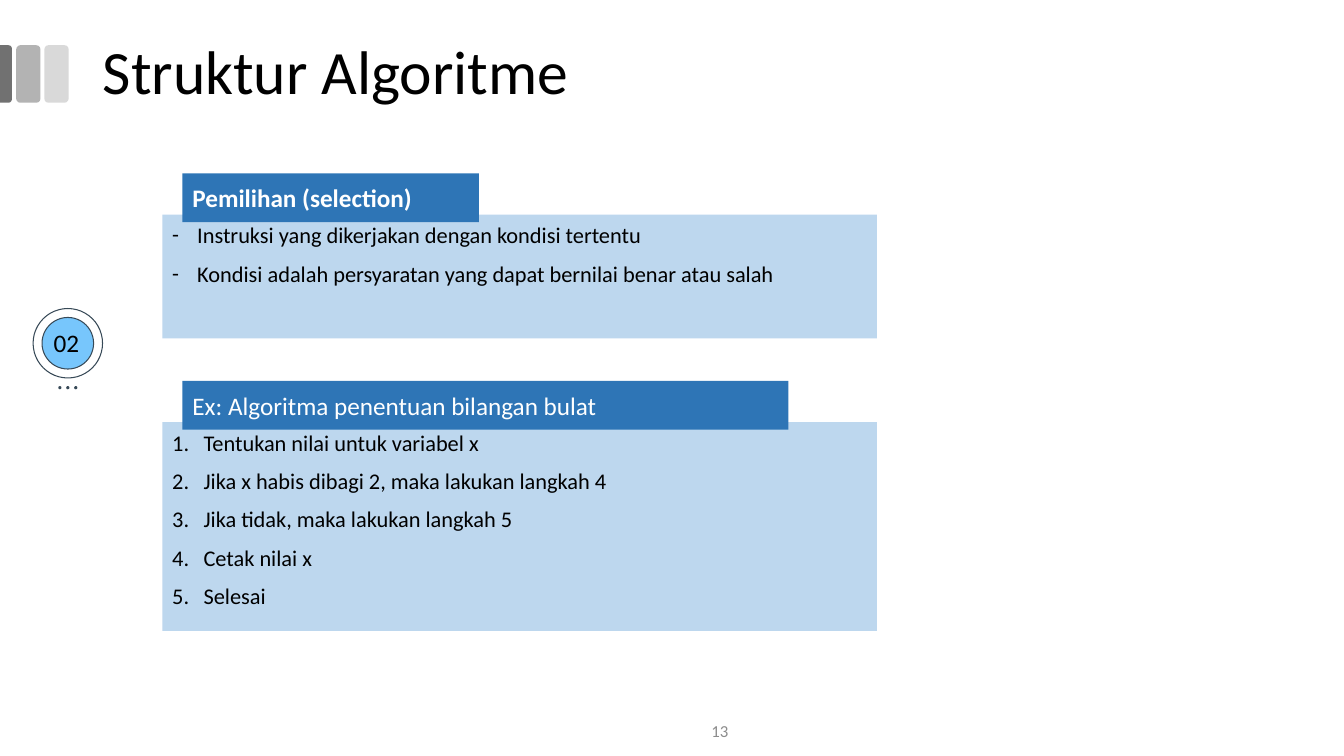
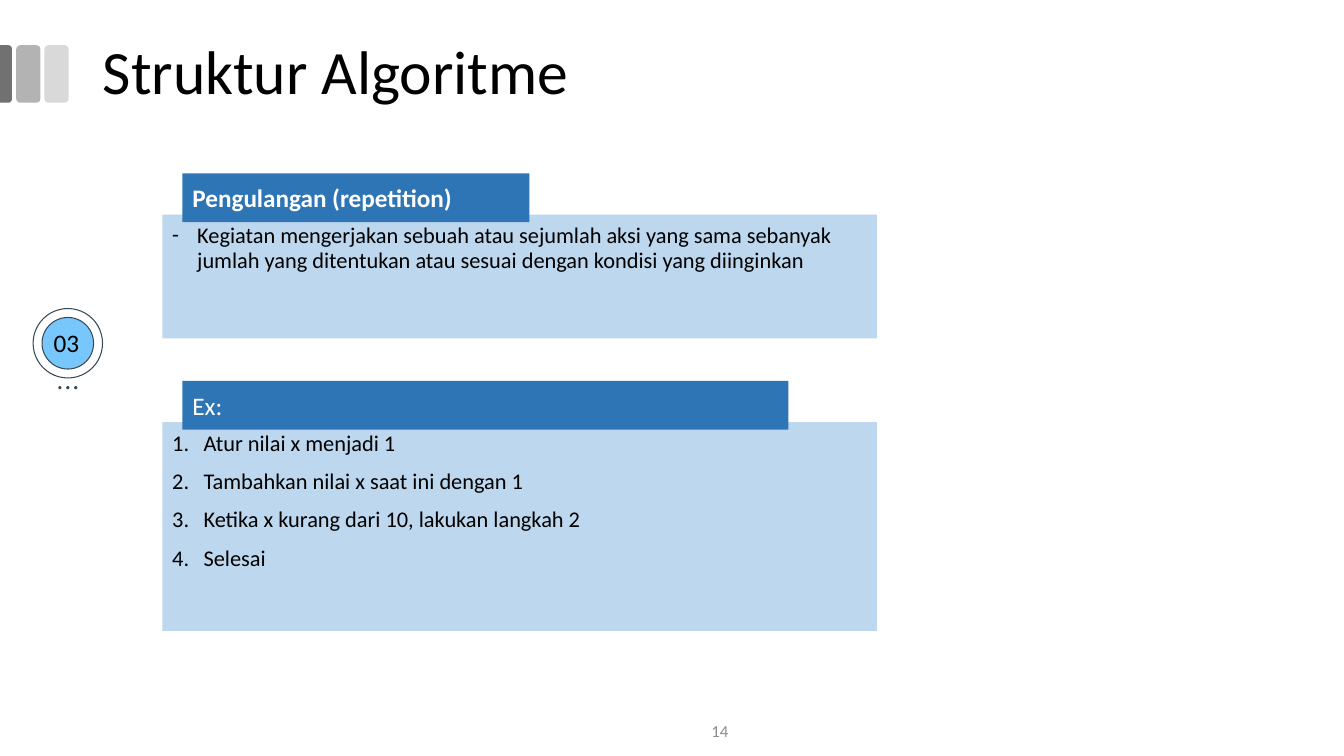
"""Build two slides on algorithm structure: selection and repetition."""
import lxml.etree
import pptx
import pptx.dml.color
import pptx.enum.shapes
import pptx.enum.text
import pptx.oxml.ns
import pptx.util

Cm = pptx.util.Cm
Pt = pptx.util.Pt
SHAPE = pptx.enum.shapes.MSO_SHAPE
ANCHOR = pptx.enum.text.MSO_ANCHOR
ALIGN = pptx.enum.text.PP_ALIGN

FONT = "Calibri"
COLORS = {
    "text": "000000",
    "white": "FFFFFF",
    "tab": "2E75B6",
    "panel": "BDD7EE",
    "badge": "77C6FC",
    "outline": "374957",
    "number": "8C8C8C",
    "bar_light": "D9D9D9",
    "bar_mid": "B3B3B3",
    "bar_dark": "717171",
}
TITLE = "Struktur Algoritme"
PANEL_LEFT, PANEL_WIDTH = 4.09, 18.01
TAB_LEFT, TAB_HEIGHT, TAB_RISE = 4.6, 1.23, 1.04
DASH = ("buChar", {"char": "-"})
NUMBERS = ("buAutoNum", {"type": "arabicPeriod"})

SLIDES = [
    {
        "badge": "02",
        "number": "13",
        "heading": "Pemilihan (selection)",
        "heading_width": 7.47,
        "points": [
            "Instruksi yang dikerjakan dengan kondisi tertentu",
            "Kondisi adalah persyaratan yang dapat bernilai benar atau salah",
        ],
        "example": "Ex: Algoritma penentuan bilangan bulat",
        "steps": [
            "Tentukan nilai untuk variabel x",
            "Jika x habis dibagi 2, maka lakukan langkah 4",
            "Jika tidak, maka lakukan langkah 5",
            "Cetak nilai x",
            "Selesai",
        ],
    },
    {
        "badge": "03",
        "number": "14",
        "heading": "Pengulangan (repetition)",
        "heading_width": 8.74,
        "points": [
            "Kegiatan mengerjakan sebuah atau sejumlah aksi yang sama sebanyak "
            "jumlah yang ditentukan atau sesuai dengan kondisi yang diinginkan",
        ],
        "example": "Ex:",
        "steps": [
            "Atur nilai x menjadi 1",
            "Tambahkan nilai x saat ini dengan 1",
            "Ketika x kurang dari 10, lakukan langkah 2",
            "Selesai",
        ],
    },
]


def rgb(name):
    """Return the named colour as an RGBColor."""
    return pptx.dml.color.RGBColor.from_string(COLORS[name])


def place(sp, left, top, width, height):
    """Move and size a shape, in centimetres."""
    sp.left, sp.top, sp.width, sp.height = map(Cm, (left, top, width, height))


def add_bullet(p, bullet, indent):
    """Give a paragraph a hanging bullet or number."""
    pPr = p._p.get_or_add_pPr()
    pPr.set("marL", str(Cm(indent)))
    pPr.set("indent", str(-Cm(indent)))
    color = lxml.etree.SubElement(pPr, pptx.oxml.ns.qn("a:buClr"))
    lxml.etree.SubElement(color, pptx.oxml.ns.qn("a:srgbClr"), val=COLORS["text"])
    lxml.etree.SubElement(pPr, pptx.oxml.ns.qn("a:buFont"), typeface=FONT)
    tag, attributes = bullet
    lxml.etree.SubElement(pPr, pptx.oxml.ns.qn(f"a:{tag}"), attributes)


def write(sp, *lines, size=18, color="text", bold=False, align=ALIGN.LEFT,
          anchor=ANCHOR.MIDDLE, inset=(0.25, 0.13), spacing=1.0, before=0,
          bullet=None, indent=0):
    """Write formatted paragraphs into a shape."""
    tf = sp.text_frame
    tf.word_wrap = True
    tf.auto_size = pptx.enum.text.MSO_AUTO_SIZE.NONE
    tf.vertical_anchor = anchor
    tf.margin_left = tf.margin_right = Cm(inset[0])
    tf.margin_top = tf.margin_bottom = Cm(inset[1])
    for i, line in enumerate(lines):
        p = tf.add_paragraph() if i else tf.paragraphs[0]
        if bullet:
            add_bullet(p, bullet, indent)
        p.alignment = align
        p.line_spacing = spacing
        p.space_before = Pt(before if i else 0)
        r = p.add_run()
        r.text = line
        r.font.name = FONT
        r.font.size = Pt(size)
        r.font.bold = bold
        r.font.color.rgb = rgb(color)


def add_shape(s, kind, left, top, width, height, fill, line=None):
    """Add a flat filled shape with an optional outline."""
    sp = s.shapes.add_shape(kind, *map(Cm, (left, top, width, height)))
    sp.shadow.inherit = False
    sp.fill.solid()
    sp.fill.fore_color.rgb = rgb(fill)
    if line:
        sp.line.color.rgb = rgb(line)
        sp.line.width = Pt(0.75)
    else:
        sp.line.fill.background()
    return sp


def add_circle(s, x, y, diameter, fill, line=None):
    """Add a circle around a centre point."""
    r = diameter / 2
    return add_shape(s, SHAPE.OVAL, x - r, y - r, diameter, diameter, fill, line)


def add_text(s, text, left, top, width, height, **style):
    """Add a text box with one formatted line."""
    sp = s.shapes.add_textbox(*map(Cm, (left, top, width, height)))
    write(sp, text, **style)


def add_bars(s):
    """Add the three grey bars beside the title."""
    top, width, height = 1.14, 0.61, 1.45
    for left, color in ((1.12, "bar_light"), (0.41, "bar_mid")):
        sp = add_shape(s, SHAPE.ROUNDED_RECTANGLE, left, top, width, height, color)
        sp.adjustments[0] = 0.17
    edge = 0.3
    sp = add_shape(s, SHAPE.ROUND_2_SAME_RECTANGLE, (edge - height) / 2,
                   top + (height - edge) / 2, height, edge, "bar_dark")
    sp.rotation = 90
    sp.adjustments[0] = 0.29


def add_badge(s, text):
    """Add the numbered double circle with three dots below."""
    x, y = 1.71, 8.65
    add_circle(s, x, y, 1.75, "white", "outline")
    add_circle(s, x, y, 1.3, "badge", "outline")
    for step in (-1, 0, 1):
        add_circle(s, x + step * 0.2, 9.77, 0.08, "outline")
    add_text(s, text, 1.04, 8.18, 1.27, 0.97, align=ALIGN.CENTER,
             inset=(0.25, 0.25), spacing=0.9)


def add_panel(s, body, lines, top, height, bullet, indent,
              heading, heading_width, bold=False):
    """Fill a body placeholder as a panel and overlap its heading tab."""
    place(body, PANEL_LEFT, top, PANEL_WIDTH, height)
    body.fill.solid()
    body.fill.fore_color.rgb = rgb("panel")
    write(body, *lines, size=16, anchor=ANCHOR.TOP, inset=(0.25, 0.25),
          spacing=0.9, before=10, bullet=bullet, indent=indent)
    tab = add_shape(s, SHAPE.RECTANGLE, TAB_LEFT, top - TAB_RISE,
                    heading_width, TAB_HEIGHT, "tab")
    write(tab, heading, color="white", bold=bold)


def add_slide(prs, content):
    """Add one slide with its title, badge and two panels."""
    s = prs.slides.add_slide(prs.slide_layouts.get_by_name("Two Content"))
    title, points, steps = s.placeholders
    add_bars(s)
    place(title, 2.34, 0.03, 29.21, 3.68)
    write(title, TITLE, size=44, spacing=0.9)
    add_badge(s, content["badge"])
    add_panel(s, points, content["points"], 5.41, 3.12, DASH, 0.63,
              content["heading"], content["heading_width"], bold=True)
    add_panel(s, steps, content["steps"], 10.64, 5.26, NUMBERS, 0.79,
              content["example"], 15.27)
    add_text(s, content["number"], 14.33, 17.91, 7.62, 1.02, size=12,
             color="number", align=ALIGN.CENTER)


def main():
    """Build and save the presentation."""
    prs = pptx.Presentation()
    prs.slide_width, prs.slide_height = Cm(33.87), Cm(19.05)
    for content in SLIDES:
        add_slide(prs, content)
    prs.save("out.pptx")


if __name__ == "__main__":
    main()
